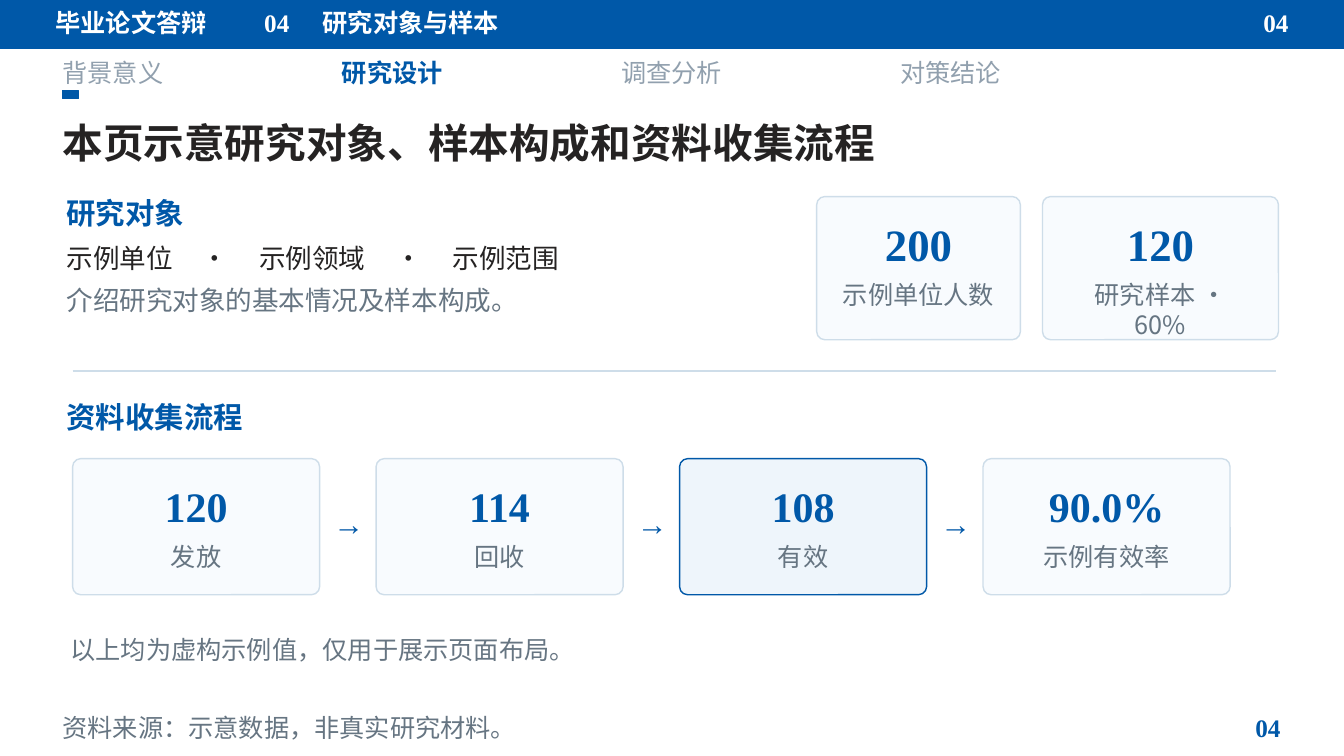
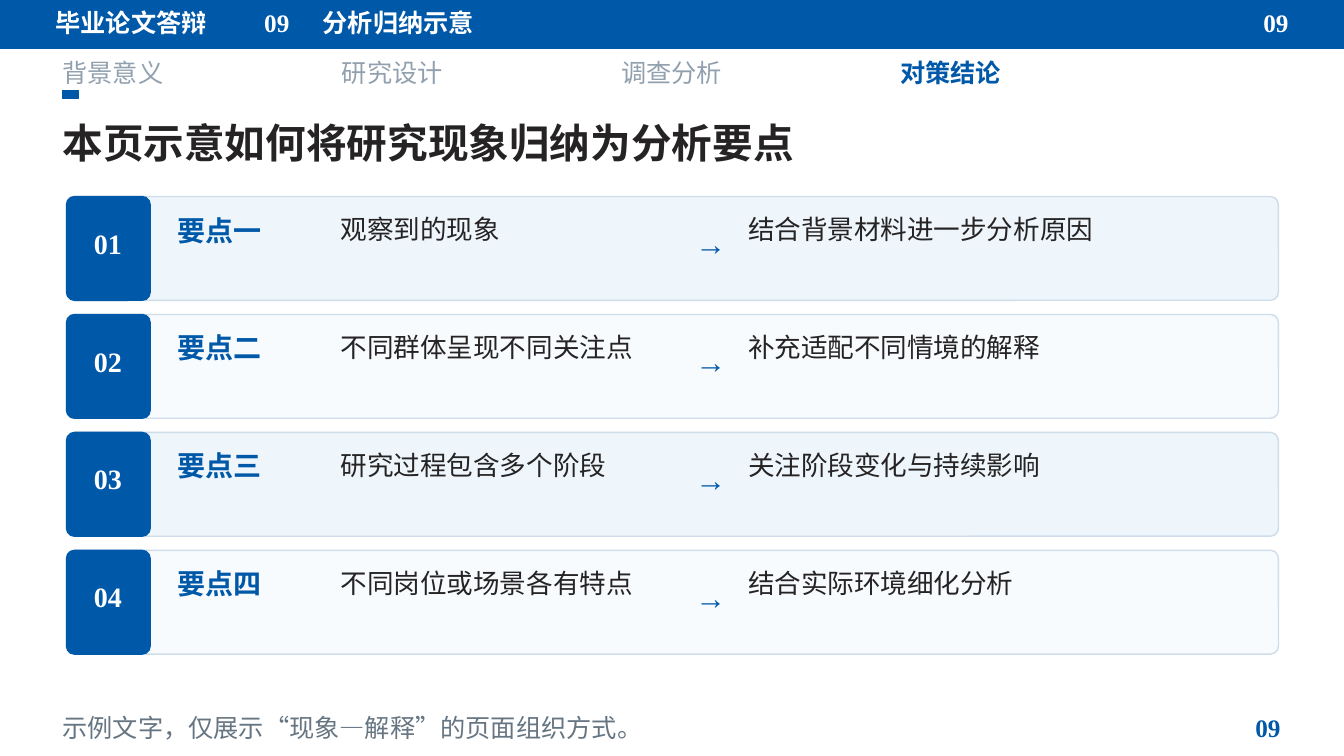
import pptx
import pptx.dml.color
import pptx.enum.shapes
import pptx.enum.text
import pptx.oxml
import pptx.oxml.ns
import pptx.util

Inches = pptx.util.Inches
ALIGN = pptx.enum.text.PP_ALIGN
ANCHOR = pptx.enum.text.MSO_ANCHOR
SHAPE = pptx.enum.shapes.MSO_SHAPE

# Shared colours, fonts and wording
BLUE, WHITE, INK = "0058A8", "FFFFFF", "252323"
GREY, MUTED, BORDER = "667582", "91A0AE", "CEDDE9"
PALE, TINT = "F8FBFE", "EEF5FB"
HEADING, BODY, LATIN = "Noto Sans CJK JP", "Noto Sans CJK SC", "Times New Roman"
CHAPTERS = ["背景意义", "研究设计", "调查分析", "对策结论"]
CORNER = 0.08


def color(value):
    return pptx.dml.color.RGBColor.from_string(value)


def make_element(tag, **attributes):
    element = pptx.oxml.parse_xml(f"<a:{tag} {pptx.oxml.ns.nsdecls('a')}/>")
    for name, value in attributes.items():
        element.set(name, str(value))
    return element


def add_text(page, text, left, top, width, height, size=18, font=BODY, fill=INK,
             bold=False, align=None, anchor=ANCHOR.MIDDLE, tabs=()):
    box = page.shapes.add_textbox(Inches(left), Inches(top), Inches(width), Inches(height))
    frame = box.text_frame
    frame.word_wrap = True
    frame.vertical_anchor = anchor
    frame.margin_left = frame.margin_top = frame.margin_right = frame.margin_bottom = 0
    para = frame.paragraphs[0]
    para.text = text
    para.alignment = align
    if tabs:
        tab_list = make_element("tabLst")
        for position, kind in tabs:
            tab_list.append(make_element("tab", pos=Inches(position), algn=kind))
        para._p.get_or_add_pPr().append(tab_list)
    for span in para.runs:
        span.font.size = pptx.util.Pt(size)
        span.font.bold = bold
        span.font.color.rgb = color(fill)
        span.font.name = font
        span.font._element.find(pptx.oxml.ns.qn("a:latin")).addnext(
            make_element("ea", typeface=font))


def add_panel(page, left, top, width, height, fill=BLUE, line=BLUE, rounded=False):
    kind = SHAPE.ROUNDED_RECTANGLE if rounded else SHAPE.RECTANGLE
    panel = page.shapes.add_shape(kind, Inches(left), Inches(top), Inches(width), Inches(height))
    panel.shadow.inherit = False
    if rounded:
        panel.adjustments[0] = CORNER / min(width, height)
    panel.fill.solid()
    panel.fill.fore_color.rgb = color(fill)
    panel.line.color.rgb = color(line)
    panel.line.width = pptx.util.Pt(1)


def add_divider(page, left, right, top):
    rule = page.shapes.add_connector(pptx.enum.shapes.MSO_CONNECTOR.STRAIGHT,
                                     Inches(left), Inches(top), Inches(right), Inches(top))
    rule.line.color.rgb = color(BORDER)
    rule.line.width = pptx.util.Pt(1)
    rule._element.spPr.append(make_element("effectLst"))


def add_arrow(page, left, top, width):
    add_text(page, "→", left, top, width, 0.36, size=22, font=LATIN, fill=BLUE,
             bold=True, align=ALIGN.CENTER)


def add_section_heading(page, text, top):
    add_text(page, text, 0.66, top, 3.2, 0.4, size=21, font=HEADING, fill=BLUE, bold=True)


def add_figure_card(page, value, label, left, top, width, height, size,
                    fill=PALE, line=BORDER):
    add_panel(page, left, top, width, height, fill, line, rounded=True)
    inner_left, inner_width = left + 0.18, width - 0.36
    add_text(page, value, inner_left, top + 0.16, inner_width, 0.62, size=size,
             font=LATIN, fill=BLUE, bold=True, align=ALIGN.CENTER)
    add_text(page, label, inner_left, top + 0.82, inner_width, height - 0.96,
             fill=GREY, align=ALIGN.CENTER, anchor=ANCHOR.TOP)


def add_page(deck, number, topic, chapter, title, footer):
    page = deck.slides.add_slide(deck.slide_layouts[6])
    # Top band
    add_panel(page, 0, 0, 13.33, 0.48)
    for text, left, width, font, align in [
            ("毕业论文答辩", 0.55, 2.05, HEADING, ALIGN.LEFT),
            (number, 2.62, 0.55, LATIN, ALIGN.LEFT),
            (topic, 3.2, 5.55, HEADING, ALIGN.LEFT),
            (number, 12.23, 0.55, LATIN, ALIGN.RIGHT)]:
        add_text(page, text, left, 0.07, width, 0.3, font=font, fill=WHITE,
                 bold=True, align=align)
    # Chapter navigation
    for index, name in enumerate(CHAPTERS):
        current = name == chapter
        add_text(page, name, 0.62 + index * 2.77, 0.57, 2.15, 0.29, font=HEADING,
                 fill=BLUE if current else MUTED, bold=current)
    # Title
    add_panel(page, 0.62, 0.9, 0.16, 0.08)
    add_text(page, title, 0.62, 1.05, 12.1, 0.72, size=29, font=HEADING, bold=True)
    # Footer
    add_text(page, footer, 0.62, 7.08, 11.1, 0.28, fill=GREY)
    add_text(page, number, 12.15, 7.08, 0.55, 0.28, font=LATIN, fill=BLUE,
             bold=True, align=ALIGN.RIGHT)
    return page


def build_sample_page(deck):
    page = add_page(deck, "04", "研究对象与样本", "研究设计",
                    "本页示意研究对象、样本构成和资料收集流程",
                    "资料来源：示意数据，非真实研究材料。")
    # Research subjects
    add_section_heading(page, "研究对象", 1.91)
    add_text(page, "示例单位\t·\t示例领域\t·\t示例范围", 0.66, 2.36, 7.1, 0.39, size=19,
             tabs=[(1.47, "ctr"), (1.91, "l"), (3.39, "ctr"), (3.83, "l")])
    add_text(page, "介绍研究对象的基本情况及样本构成。", 0.66, 2.82, 7.1, 0.48,
             size=19, fill=GREY, anchor=ANCHOR.TOP)
    add_figure_card(page, "200", "示例单位人数", 8.1, 1.95, 2.02, 1.42, 32)
    add_figure_card(page, "120", "研究样本 ·\v60%", 10.34, 1.95, 2.34, 1.42, 32)
    add_divider(page, 0.72, 12.66, 3.68)
    # Collection process
    add_section_heading(page, "资料收集流程", 3.93)
    steps = [("120", "发放"), ("114", "回收"), ("108", "有效"), ("90.0%", "示例有效率")]
    for index, (value, label) in enumerate(steps):
        left = 0.72 + index * 3.01
        fill, line = (TINT, BLUE) if label == "有效" else (PALE, BORDER)
        add_figure_card(page, value, label, left, 4.55, 2.45, 1.35, 30, fill, line)
        if index < len(steps) - 1:
            add_arrow(page, left + 2.53, 5.01, 0.42)
    add_text(page, "以上均为虚构示例值，仅用于展示页面布局。", 0.7, 6.25, 11.8, 0.38, fill=GREY)


def add_point_row(page, number, name, finding, reading, top, fill):
    add_panel(page, 0.66, top, 12.02, 1.03, fill, BORDER, rounded=True)
    add_panel(page, 0.66, top, 0.83, 1.03, rounded=True)
    add_text(page, number, 0.77, top + 0.28, 0.6, 0.36, size=20, font=LATIN,
             fill=WHITE, bold=True, align=ALIGN.CENTER)
    add_text(page, name, 1.76, top + 0.16, 1.48, 0.34, size=20, font=HEADING,
             fill=BLUE, bold=True)
    for text, left, width in [(finding, 3.38, 3.34), (reading, 7.42, 4.98)]:
        add_text(page, text, left, top + 0.16, width, 0.65, size=19, anchor=ANCHOR.TOP)
    add_arrow(page, 6.82, top + 0.28, 0.46)


def build_summary_page(deck):
    page = add_page(deck, "09", "分析归纳示意", "对策结论",
                    "本页示意如何将研究现象归纳为分析要点",
                    "示例文字，仅展示“现象—解释”的页面组织方式。")
    points = [("要点一", "观察到的现象", "结合背景材料进一步分析原因"),
              ("要点二", "不同群体呈现不同关注点", "补充适配不同情境的解释"),
              ("要点三", "研究过程包含多个阶段", "关注阶段变化与持续影响"),
              ("要点四", "不同岗位或场景各有特点", "结合实际环境细化分析")]
    for index, point in enumerate(points):
        add_point_row(page, f"{index + 1:02d}", *point, top=1.95 + index * 1.17,
                      fill=PALE if index % 2 else TINT)


def main():
    deck = pptx.Presentation()
    deck.slide_width, deck.slide_height = Inches(13.33), Inches(7.5)
    build_sample_page(deck)
    build_summary_page(deck)
    deck.save("out.pptx")


if __name__ == "__main__":
    main()
